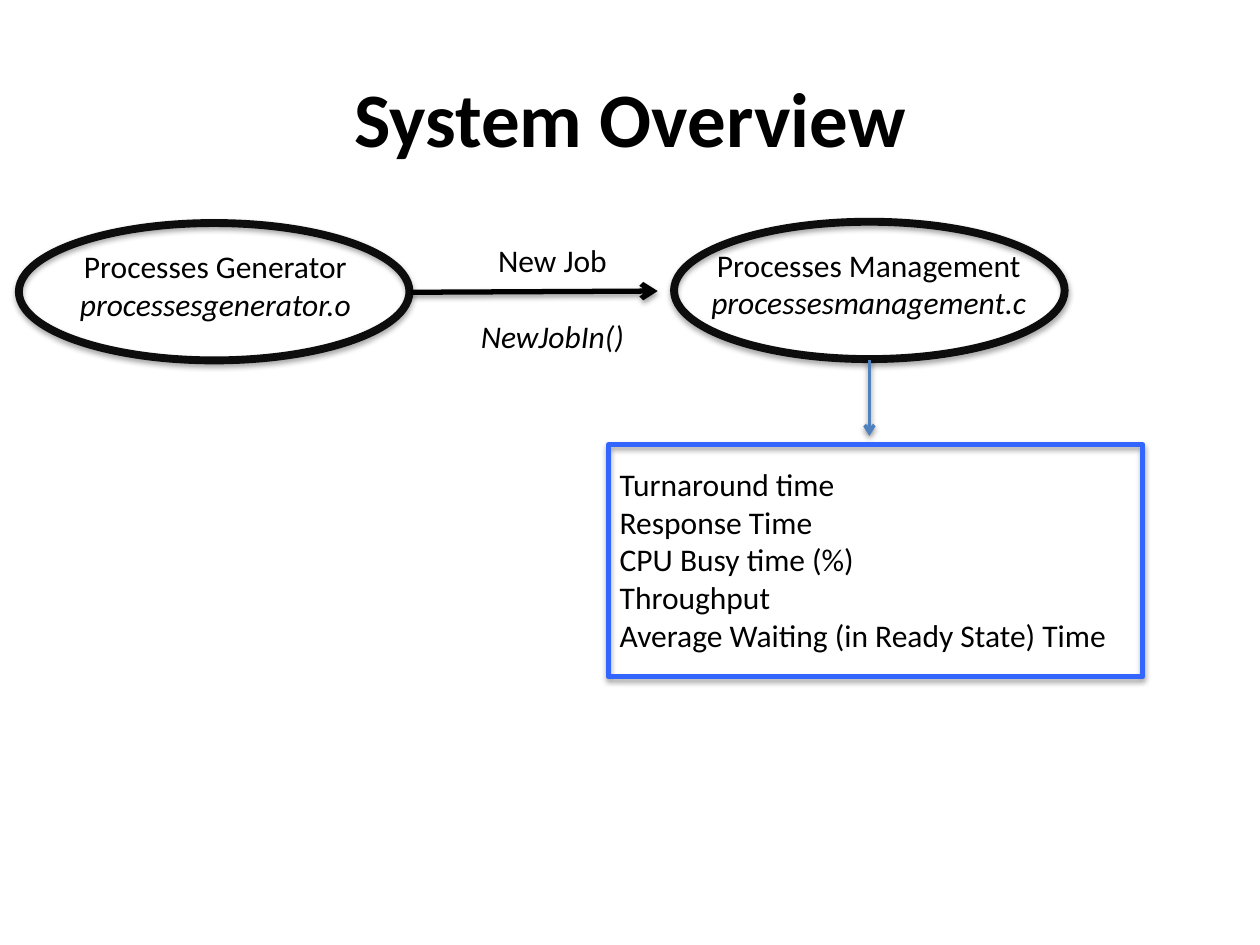
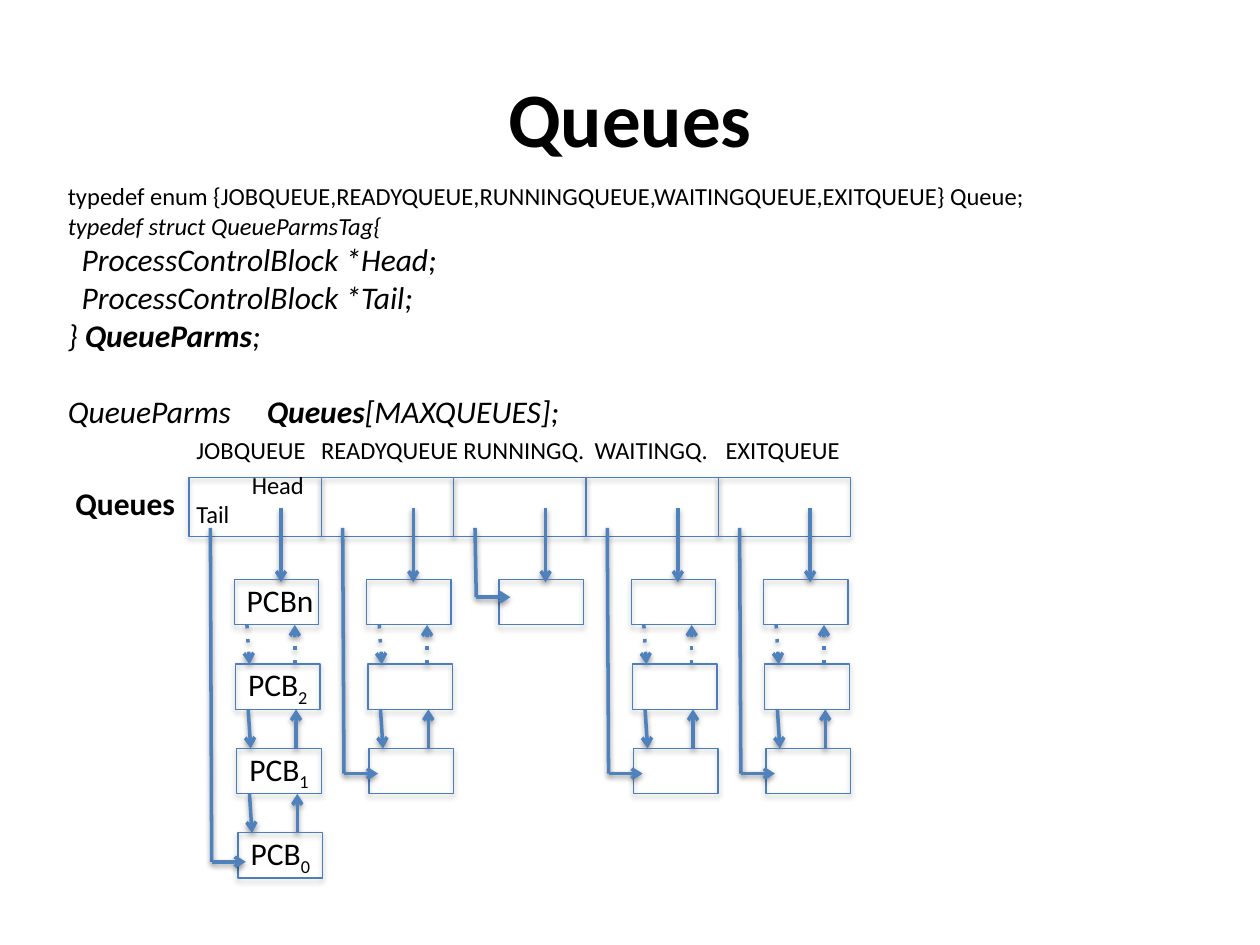
"""Build two slides: a system overview and the layout of the process queues."""
import pptx
import pptx.util
import pptx.dml.color
import pptx.enum.shapes
import pptx.enum.text
import pptx.oxml
import pptx.oxml.ns
from pptx.util import Inches

FONT = "Calibri"
BLACK, OUTLINE, ARROW, BLUE, EDGE = "000000", "0D0D0D", "4F81BD", "3366FF", "4B7EBC"
SHAPES = pptx.enum.shapes.MSO_SHAPE
CENTER = pptx.enum.text.PP_ALIGN.CENTER
BLANK_LINE = 22


def para(*runs, size=18, style="", indent=0, before=0, tab=0):
    return dict(runs=runs, size=size, style=style, indent=indent, before=before, tab=tab)


STAGES = [
    ((0.15, 1.77), (0.48, 1.91, 2.46, 0.71), "Processes Generator", "processesgenerator.o"),
    ((5.35, 1.76), (5.5, 1.9, 2.79, 0.71), "Processes Management", "processesmanagement.c"),
]
STAGE_SIZE = (3.1, 1.09)
JOB_CALL = [para("New Job"), para("NewJobIn()", style="i", before=BLANK_LINE)]
METRICS = ["Turnaround time", "Response Time", "CPU Busy time (%)", "Throughput",
           "Average Waiting (in Ready State) Time"]

DECLARATIONS = [
    para("typedef enum {JOBQUEUE,READYQUEUE,RUNNINGQUEUE,WAITINGQUEUE,EXITQUEUE} Queue;", size=14),
    para("typedef struct QueueParmsTag{", size=14, style="i"),
    para("ProcessControlBlock *Head;", style="i", indent=0.11),
    para("ProcessControlBlock *Tail;", style="i", indent=0.11),
    para("} ", ("QueueParms", "b"), ";", style="i"),
    para("QueueParms\t", ("Queues", "b"), "[MAXQUEUES];", style="i", before=BLANK_LINE, tab=1.58),
]
QUEUES = [
    ("JOBQUEUE", 1.46, 1.08, 4),
    ("READYQUEUE", 2.45, 1.31, 3),
    ("RUNNINGQ.", 3.58, 1.17, 1),
    ("WAITINGQ.", 4.62, 1.12, 3),
    ("EXITQUEUE", 5.66, 1.12, 3),
]
JOB_BLOCKS = [para("PCBn")] + [para("PCB", (str(n), "_")) for n in (2, 1, 0)]
QUEUE_LEFT, QUEUE_TOP, QUEUE_W, QUEUE_H = 1.5, 3.79, 1.05, 0.47
BLOCK_TOP, BLOCK_W, BLOCK_H, ROW_STEP, ROW_SHIFT = 4.6, 0.67, 0.36, 0.67, 0.01


def rgb(color):
    return pptx.dml.color.RGBColor.from_string(color)


def element(parent, tag, **attributes):
    child = parent.makeelement(pptx.oxml.ns.qn(tag), attributes)
    parent.append(child)
    return child


def add_shadow(sp, alpha, dist):
    spPr = sp._element.spPr
    effects = spPr.find(pptx.oxml.ns.qn("a:effectLst"))
    if effects is None:
        effects = element(spPr, "a:effectLst")
    shadow = element(effects, "a:outerShdw", blurRad="40000", dist=dist,
                     dir="5400000", rotWithShape="0")
    element(element(shadow, "a:srgbClr", val=BLACK), "a:alpha", val=alpha)


def add_outline(s, kind, box, color, width):
    sp = s.shapes.add_shape(kind, *map(Inches, box))
    sp.shadow.inherit = False
    sp.fill.background()
    sp.line.color.rgb = rgb(color)
    sp.line.width = pptx.util.Pt(width)
    add_shadow(sp, "35000", "23000")


def add_line(s, start, end, color=ARROW, width=2, dotted=False, arrow=True):
    straight = pptx.enum.shapes.MSO_CONNECTOR.STRAIGHT
    sp = s.shapes.add_connector(straight, *map(Inches, (*start, *end)))
    sp.line.color.rgb = rgb(color)
    sp.line.width = pptx.util.Pt(width)
    ln = sp.line._get_or_add_ln()
    if dotted:
        element(ln, "a:prstDash", val="dot")
    if arrow:
        element(ln, "a:tailEnd", type="arrow")
    add_shadow(sp, "38000", "20000")


def add_text(s, box, paras, align=None):
    tf = s.shapes.add_textbox(*map(Inches, box)).text_frame
    tf.word_wrap = False
    tf.auto_size = pptx.enum.text.MSO_AUTO_SIZE.SHAPE_TO_FIT_TEXT
    for i, item in enumerate(paras):
        p = tf.add_paragraph() if i else tf.paragraphs[0]
        p.alignment = align
        if item["before"]:
            p.space_before = pptx.util.Pt(item["before"])
        pPr = p._p.get_or_add_pPr()
        if item["indent"]:
            pPr.set("marL", str(Inches(item["indent"])))
        if item["tab"]:
            element(element(pPr, "a:tabLst"), "a:tab", pos=str(Inches(item["tab"])), algn="l")
        p.font.name = FONT
        p.font.size = pptx.util.Pt(item["size"])
        p.font.color.rgb = rgb(BLACK)
        if "i" in item["style"]:
            p.font.italic = True
        if "b" in item["style"]:
            p.font.bold = True
        for run in item["runs"]:
            text, style = (run, "") if isinstance(run, str) else run
            r = p.add_run()
            r.text = text
            if style == "b":
                r.font.bold = True
            if style == "_":
                r.font._element.set("baseline", "-25000")


def add_slide(prs, title):
    s = prs.slides.add_slide(prs.slide_layouts[5])
    sp = s.shapes.title
    sp.left, sp.top, sp.width, sp.height = map(Inches, (0.5, 0.3, 9, 1.25))
    sp.text_frame.text = title
    p = sp.text_frame.paragraphs[0]
    p.alignment = CENTER
    p.font.name = FONT
    p.font.size = pptx.util.Pt(44)
    p.font.bold = True
    p.font.color.rgb = rgb(BLACK)
    return s


def build_overview(prs):
    s = add_slide(prs, "System Overview")
    for corner, label_box, name, file_name in STAGES:
        add_outline(s, SHAPES.OVAL, (*corner, *STAGE_SIZE), OUTLINE, 4.5)
        add_text(s, label_box, [para(name), para(file_name, style="i")], CENTER)
    add_line(s, (3.26, 2.32), (5.22, 2.31), BLACK, 3)
    add_text(s, (3.68, 1.86, 1.41, 1.01), JOB_CALL, CENTER)
    add_line(s, (6.9, 2.86), (6.9, 3.46))
    add_outline(s, SHAPES.RECTANGLE, (4.83, 3.53, 4.24, 1.84), BLUE, 3)
    add_text(s, (4.82, 3.64, 4.14, 1.92), [para(metric) for metric in METRICS])


def add_queue(s, left, rows):
    add_outline(s, SHAPES.RECTANGLE, (left, QUEUE_TOP, QUEUE_W, QUEUE_H), EDGE, 0.75)
    add_line(s, (left + 0.73, 4.03), (left + 0.73, 4.62))
    for row in range(rows):
        x, y = left + 0.36 + row * ROW_SHIFT, BLOCK_TOP + row * ROW_STEP
        add_outline(s, SHAPES.RECTANGLE, (x, y, BLOCK_W, BLOCK_H), EDGE, 0.75)
        if row < rows - 1:
            bottom, below = y + BLOCK_H, y + ROW_STEP
            add_line(s, (x + 0.1, bottom), (x + 0.12, below), dotted=row == 0)
            add_line(s, (x + 0.48, below), (x + 0.48, bottom), dotted=row == 0)
    tail_x, tail_y = left + 0.17, y + 0.14 + 0.03 * (rows - 1)
    add_line(s, (tail_x, 4.19), (tail_x + 0.01, tail_y), arrow=False)
    add_line(s, (tail_x + 0.01, tail_y), (tail_x + 0.28, tail_y))


def build_queues(prs):
    s = add_slide(prs, "Queues")
    add_text(s, (0.44, 1.39, 7.94, 2.09), DECLARATIONS)
    add_text(s, (0.5, 3.79, 1, 0.4), [para("Queues", style="b")])
    for i, (name, label_left, label_width, rows) in enumerate(QUEUES):
        add_queue(s, QUEUE_LEFT + i * QUEUE_W, rows)
        add_text(s, (label_left, 3.4, label_width, 0.34), [para(name, size=14)])
    add_text(s, (1.46, 3.68, 1.06, 0.57),
             [para("Head", size=14, indent=0.44), para("Tail", size=14)])
    for row, block in enumerate(JOB_BLOCKS):
        width = 0.69 if row else 0.75
        add_text(s, (1.86 + row * ROW_SHIFT, 4.56 + row * ROW_STEP, width, 0.4), [block])


def main():
    prs = pptx.Presentation()
    prs.slide_width, prs.slide_height = Inches(10), Inches(7.5)
    build_overview(prs)
    build_queues(prs)
    prs.save("out.pptx")


if __name__ == "__main__":
    main()
